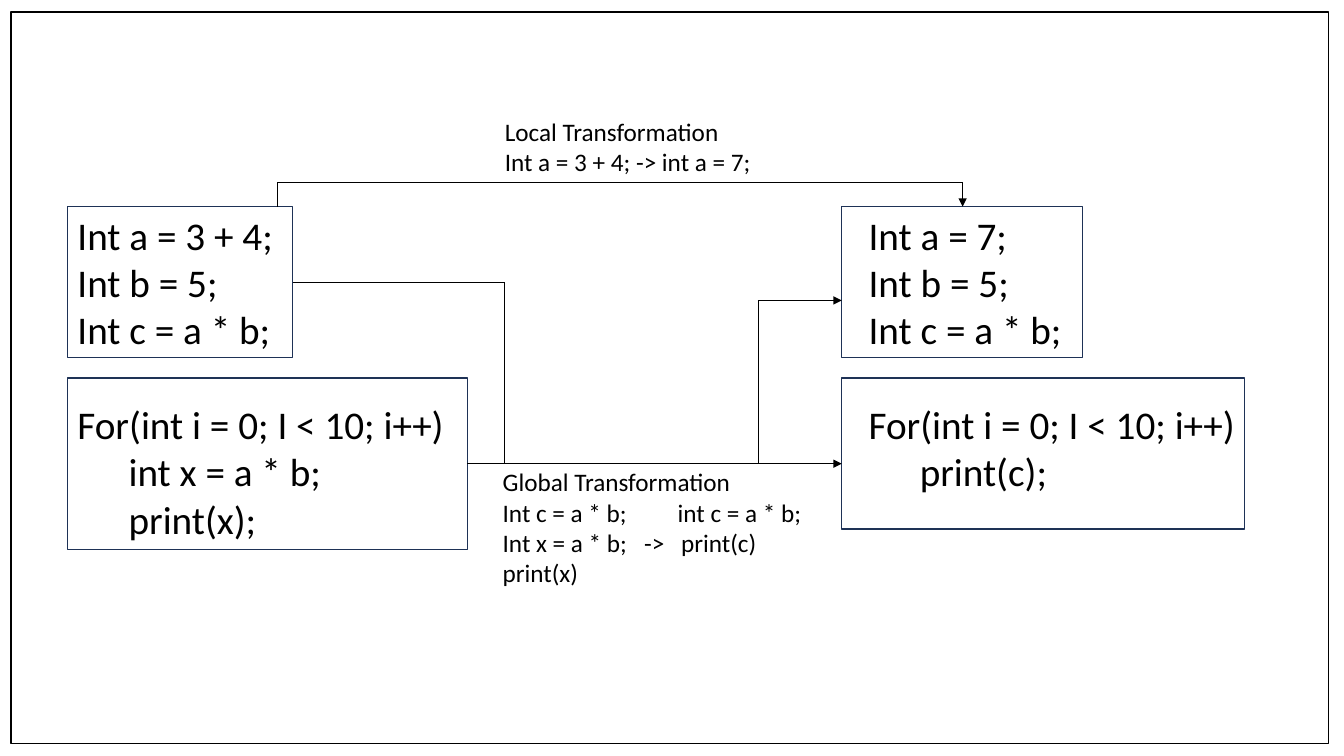
from dataclasses import dataclass

from lxml.etree import SubElement
from pptx import Presentation
from pptx.dml.color import RGBColor
from pptx.enum.shapes import MSO_CONNECTOR, MSO_SHAPE
from pptx.oxml.ns import qn
from pptx.util import Pt

COLORS = {"ink": "000000", "box": "1E3256"}
FONT = "Calibri"


@dataclass
class Line:
    text: str
    indent: float = 0
    before: float = 0
    tabs: tuple[float, ...] = ()


@dataclass
class TextBlock:
    x: float
    y: float
    w: float
    h: float
    size: float
    lines: list[Line]


@dataclass
class Box:
    x: float
    y: float
    w: float
    h: float
    color: str = "box"


@dataclass
class Route:
    points: list[tuple[float, float]]
    arrow: bool = True


TOP, LEFT, RIGHT = 147.6, 48.24, 601.2
LOOP_TOP = 270
BUS_Y = 331.2      # shared line of the global transformation
BLOCK_GAP = 34.2   # one empty line of 28 pt text
TAB = 36.5

CODE = [
    TextBlock(LEFT, TOP, 298, 244.8, 28, [
        Line("Int a = 3 + 4;"),
        Line("Int b = 5;"),
        Line("Int c = a * b;"),
        Line("For(int i = 0; I < 10; i++)", before=BLOCK_GAP),
        Line("int x = a * b;", TAB),
        Line("print(x);", TAB),
    ]),
    TextBlock(613.4, TOP, 298, 211, 28, [
        Line("Int a = 7;"),
        Line("Int b = 5;"),
        Line("Int c = a * b;"),
        Line("For(int i = 0; I < 10; i++)", before=BLOCK_GAP),
        Line("print(c);", TAB),
    ]),
]

BOXES = [
    Box(LEFT, TOP, 160.8, 108),
    Box(LEFT, LOOP_TOP, 285.6, 122.4),
    Box(RIGHT, TOP, 172, 108),
    Box(RIGHT, LOOP_TOP, 288, 108),
]

ROUTES = [
    Route([(198, TOP), (198, 130.3), (687.6, 130.3), (687.6, TOP)]),
    Route([(209, 201.6), (360.3, 201.6), (360.3, BUS_Y)], arrow=False),
    Route([(333.8, BUS_Y), (RIGHT, BUS_Y)]),
    Route([(541.4, BUS_Y), (541.4, 214.6), (RIGHT, 214.6)]),
]

LABELS = [
    TextBlock(353.5, 79.2, 193, 51, 18, [
        Line("Local Transformation"),
        Line("Int a = 3 + 4; -> int a = 7;"),
    ]),
    TextBlock(352, 329.8, 232, 94.3, 18, [
        Line("Global Transformation"),
        Line("Int c = a * b;\tint c = a * b;", tabs=(125,)),
        Line("Int x = a * b;\t->\tprint(c)", tabs=(101, 127.5)),
        Line("print(x)"),
    ]),
]

FRAME = Box(7.9, 8.6, 941, 522.7, "ink")


def rgb(name: str) -> RGBColor:
    return RGBColor.from_string(COLORS[name])


def add_text(s, block: TextBlock) -> None:
    tb = s.shapes.add_textbox(Pt(block.x), Pt(block.y), Pt(block.w), Pt(block.h))
    tf = tb.text_frame
    tf.word_wrap = True
    for i, line in enumerate(block.lines):
        p = tf.paragraphs[0] if i == 0 else tf.add_paragraph()
        p.text = line.text
        pPr = p._p.get_or_add_pPr()
        if line.indent:
            pPr.set("marL", str(Pt(line.indent)))
        if line.before:
            p.space_before = Pt(line.before)
        if line.tabs:
            tab_list = SubElement(pPr, qn("a:tabLst"))
            for pos in line.tabs:
                SubElement(tab_list, qn("a:tab"), pos=str(Pt(pos)), algn="l")
        for r in p.runs:
            r.font.name = FONT
            r.font.size = Pt(block.size)
            r.font.color.rgb = rgb("ink")


def add_box(s, box: Box) -> None:
    sp = s.shapes.add_shape(MSO_SHAPE.RECTANGLE, Pt(box.x), Pt(box.y), Pt(box.w), Pt(box.h))
    sp.shadow.inherit = False
    sp.fill.background()
    sp.line.color.rgb = rgb(box.color)
    sp.line.width = Pt(1)


def add_route(s, route: Route) -> None:
    for start, end in zip(route.points, route.points[1:]):
        c = s.shapes.add_connector(MSO_CONNECTOR.STRAIGHT, *map(Pt, start + end))
        c.line.color.rgb = rgb("ink")
        c.line.width = Pt(0.5)
        if route.arrow and end == route.points[-1]:
            SubElement(c.line._get_or_add_ln(), qn("a:tailEnd"), type="triangle")
        SubElement(c._element.spPr, qn("a:effectLst"))


def main() -> None:
    prs = Presentation()
    prs.slide_width, prs.slide_height = Pt(960), Pt(540)
    s = prs.slides.add_slide(prs.slide_layouts[6])

    # Code before and after
    for block in CODE:
        add_text(s, block)
    for box in BOXES:
        add_box(s, box)

    # Transformations
    for route in ROUTES:
        add_route(s, route)
    for label in LABELS:
        add_text(s, label)

    # Outer frame
    add_box(s, FRAME)
    prs.save("out.pptx")


if __name__ == "__main__":
    main()
